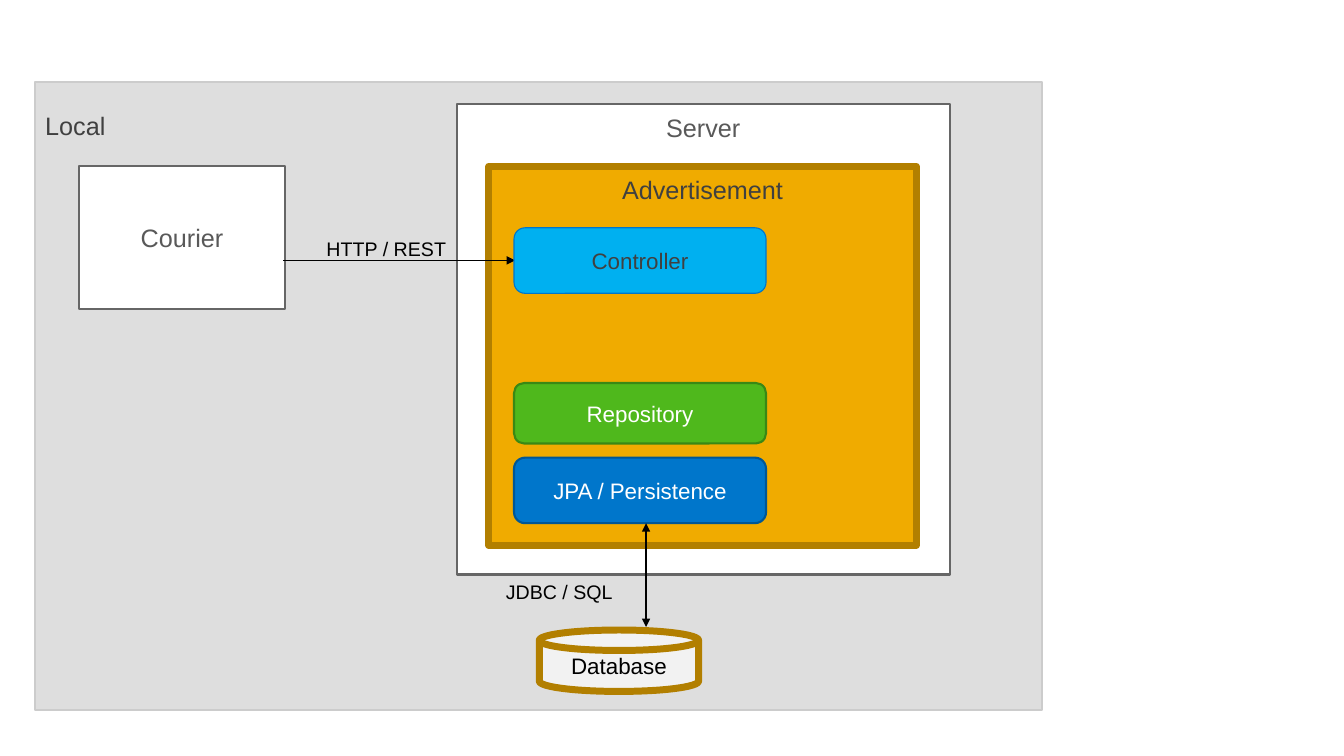
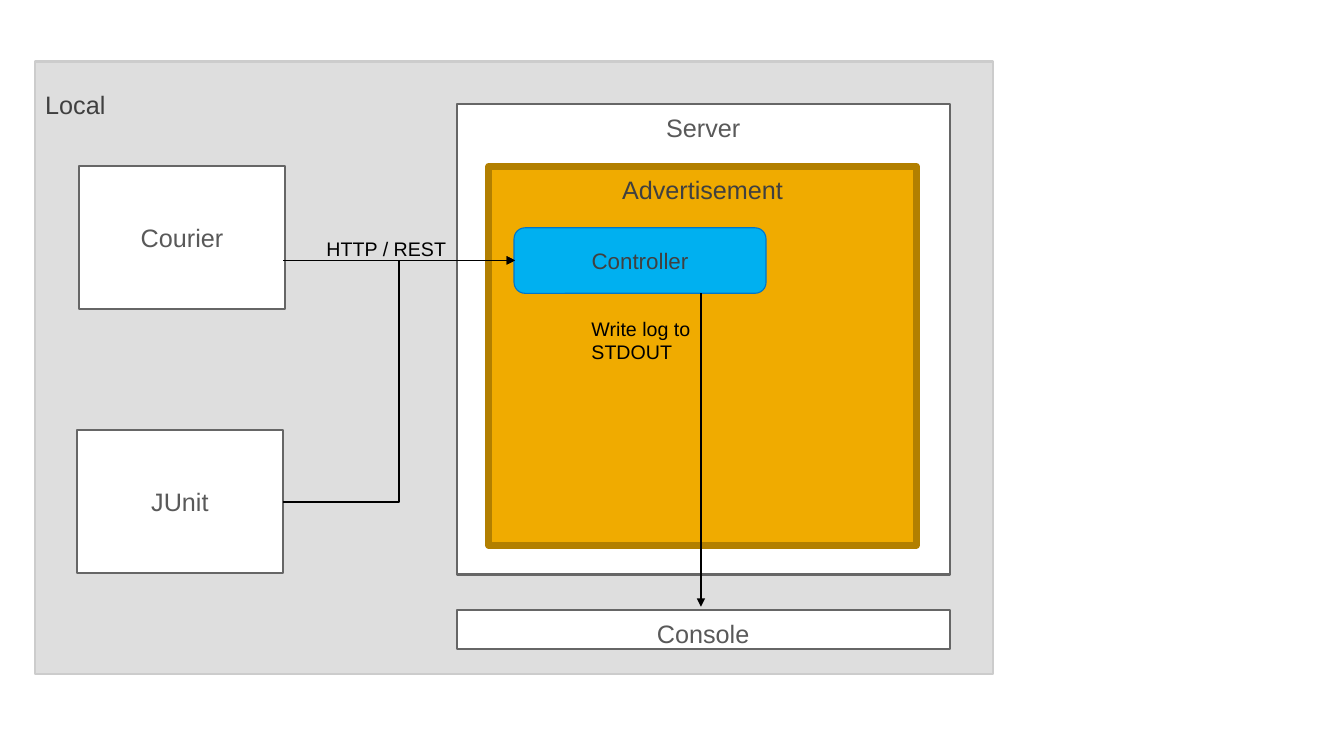
from lxml.etree import SubElement
from pptx import Presentation
from pptx.dml.color import RGBColor
from pptx.enum.shapes import MSO_CONNECTOR, MSO_SHAPE
from pptx.enum.text import MSO_ANCHOR, PP_ALIGN
from pptx.oxml.ns import qn
from pptx.util import Pt

COLORS = {
    "black": "000000", "white": "FFFFFF", "dark": "404040", "gray": "595959",
    "border": "666666", "zone": "B8B8B8", "zone_edge": "CCCCCC",
    "amber": "F0AB00", "amber_edge": "B27F00", "pale": "F2F2F2",
    "sky": "00B0F0", "blue": "0076CB", "blue_edge": "005796",
    "green": "4FB81C", "green_edge": "3A8815",
}

# Kinds of box: fill, line colour, line width, text colour, text size, anchor
BOXES = {
    "zone": ("zone", "zone_edge", 1.5, "dark", 18, MSO_ANCHOR.TOP),
    "frame": ("white", "border", 1.5, "gray", 18, MSO_ANCHOR.TOP),
    "tool": ("white", "border", 1.5, "gray", 18, MSO_ANCHOR.MIDDLE),
    "app": ("amber", "amber_edge", 5, "dark", 18, MSO_ANCHOR.TOP),
    "store": ("pale", "amber_edge", 5, "black", 16, MSO_ANCHOR.MIDDLE),
    "controller": ("sky", "blue", 0.79, "dark", 16, MSO_ANCHOR.MIDDLE),
    "repository": ("green", "green_edge", 1.5, "white", 16, MSO_ANCHOR.MIDDLE),
    "persistence": ("blue", "blue_edge", 1.5, "white", 16, MSO_ANCHOR.MIDDLE),
}

# Shared positions
SERVER_X, SERVER_W = 326.2, 352.1
LAYER_X, LAYER_W = 367.2, 180
TOOL_RIGHT, REQUEST_Y = 202.3, 186


def rgb(name):
    return RGBColor.from_string(COLORS[name])


class Diagram:
    """Holds the style and the current slide."""

    font = "Arial"

    def __init__(self):
        self.deck = Presentation()
        self.deck.slide_width, self.deck.slide_height = Pt(960), Pt(540)
        self.slide = None

    def new_slide(self):
        self.slide = self.deck.slides.add_slide(self.deck.slide_layouts[6])

    def set_text(self, frame, text, color, size, align):
        frame.word_wrap = True
        paragraph = frame.paragraphs[0]
        paragraph.alignment = align
        run = paragraph.add_run()
        run.text = text
        run.font.name, run.font.size = self.font, Pt(size)
        run.font.color.rgb = rgb(color)

    def box(self, kind, text, x, y, w, h, preset=MSO_SHAPE.RECTANGLE,
            align=PP_ALIGN.CENTER, top=5.8):
        fill, edge, width, color, size, anchor = BOXES[kind]
        shape = self.slide.shapes.add_shape(preset, Pt(x), Pt(y), Pt(w), Pt(h))
        shape.shadow.inherit = False
        shape.fill.solid()
        shape.fill.fore_color.rgb = rgb(fill)
        shape.line.color.rgb = rgb(edge)
        shape.line.width = Pt(width)
        frame = shape.text_frame
        frame.margin_left = frame.margin_right = Pt(7.2)
        frame.margin_top, frame.margin_bottom = Pt(top), Pt(5.8)
        frame.vertical_anchor = anchor
        self.set_text(frame, text, color, size, align)
        return shape

    def zone(self, text, y, w, h):
        shape = self.box("zone", text, 25.2, y, w, h,
                         align=PP_ALIGN.LEFT, top=20.2)
        color = shape._element.spPr.find(qn("a:solidFill"))[0]
        SubElement(color, qn("a:alpha"), val="46000")

    def layer(self, kind, text, y, h=46.8):
        self.box(kind, text, LAYER_X, y, LAYER_W, h, MSO_SHAPE.ROUNDED_RECTANGLE)

    def label(self, text, x, y, w, h):
        frame = self.slide.shapes.add_textbox(Pt(x), Pt(y), Pt(w), Pt(h)).text_frame
        self.set_text(frame, text, "black", 14, PP_ALIGN.LEFT)

    def arrow(self, x1, y1, x2, y2, route=MSO_CONNECTOR.STRAIGHT, both=False):
        link = self.slide.shapes.add_connector(route, Pt(x1), Pt(y1), Pt(x2), Pt(y2))
        link.line.color.rgb = rgb("black")
        link.line.width = Pt(1.25)
        properties = link._element.spPr
        line = properties.find(qn("a:ln"))
        for end in ("a:headEnd", "a:tailEnd") if both else ("a:tailEnd",):
            SubElement(line, qn(end), type="triangle")
        SubElement(properties, qn("a:effectLst"))

    def request_path(self):
        """The parts on both slides: client, server, application, controller."""
        self.box("frame", "Server", SERVER_X, 74.2, SERVER_W, 336.2)
        self.box("app", "Advertisement", 349.2, 118.8, 305.3, 270.7)
        self.box("tool", "Courier", 56.2, 118.8, 147.6, 102.2)
        self.label("HTTP / REST", 226.1, 165.6, 100.1, 41)
        self.arrow(TOOL_RIGHT, REQUEST_Y, LAYER_X + 0.7, REQUEST_Y)
        self.layer("controller", "Controller", 162.7)


def persistence_slide(diagram):
    diagram.new_slide()
    diagram.zone("Local", 58.3, 719.3, 448.6)
    diagram.request_path()
    # Data access
    diagram.layer("repository", "Repository", 273.6, 43.2)
    diagram.layer("persistence", "JPA / Persistence", 326.9)
    diagram.box("store", "Database", 385.2, 450, 113.8, 43.9,
                MSO_SHAPE.FLOWCHART_MAGNETIC_DISK)
    diagram.label("JDBC / SQL", 354.2, 410.4, 116.6, 24.5)
    diagram.arrow(461.5, 373.7, 461.5, 447.8, both=True)


def logging_slide(diagram):
    diagram.new_slide()
    diagram.zone("Local", 43.9, 684, 437.8)
    diagram.request_path()
    # Test client
    diagram.box("tool", "JUnit", 54.7, 307.4, 147.6, 102.2)
    diagram.arrow(TOOL_RIGHT, 358.6, LAYER_X + 0.7, REQUEST_Y, MSO_CONNECTOR.ELBOW)
    # Log output
    diagram.box("frame", "Console", SERVER_X, 435.6, SERVER_W, 28.1)
    diagram.label("Write log to STDOUT", 415.4, 222.5, 100.1, 41)
    diagram.arrow(500.7, 209.5, 500.7, 433.4)


def main():
    diagram = Diagram()
    persistence_slide(diagram)
    logging_slide(diagram)
    diagram.deck.save("out.pptx")


if __name__ == "__main__":
    main()
